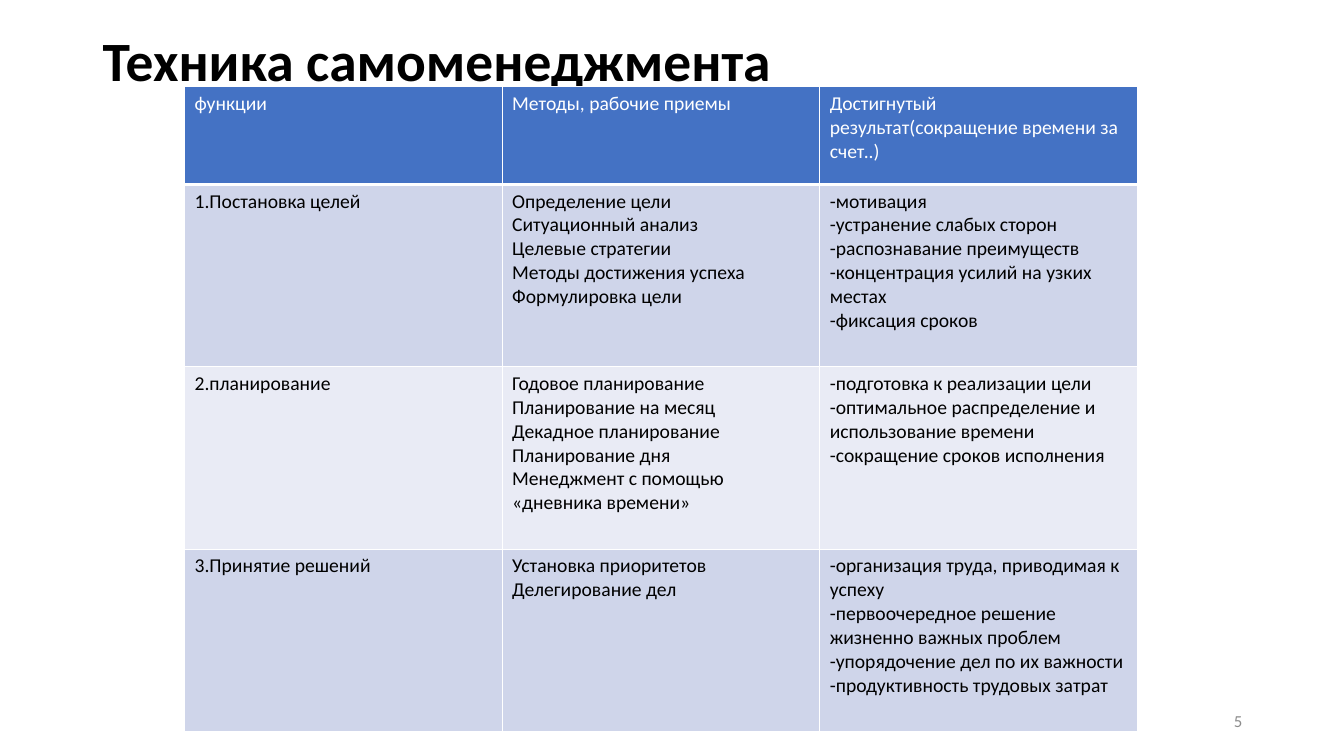
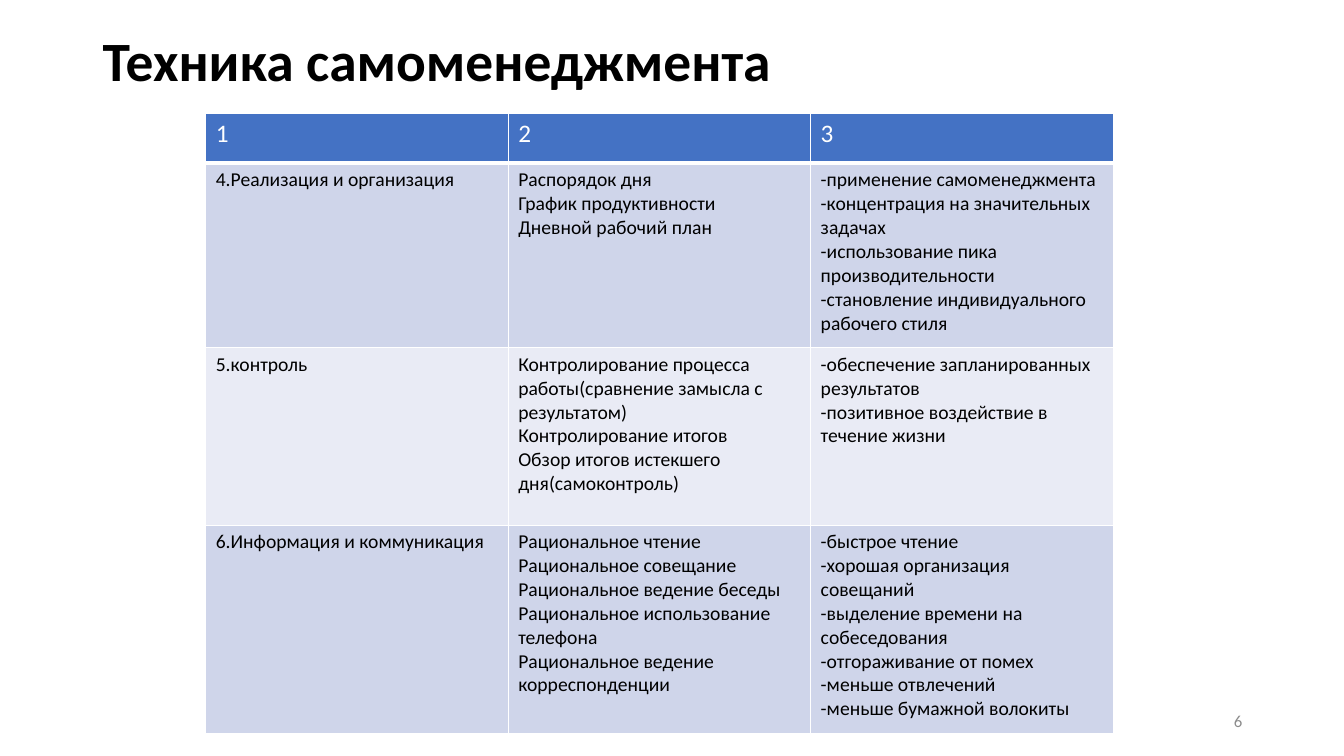
from lxml.etree import SubElement
from pptx import Presentation
from pptx.dml.color import RGBColor
from pptx.enum.text import MSO_ANCHOR, PP_ALIGN
from pptx.oxml.ns import qn
from pptx.util import Inches, Pt

# Shared style
FONT = "Calibri"
BLACK, WHITE, GREY = "000000", "FFFFFF", "8C8C8C"
HEADER_FILL = "4472C4"
BAND_FILLS = ("CFD5EA", "E9EBF5")
TITLE = "Техника самоменеджмента"
TITLE_BOX = (0.92, 0.4, 11.5, 0.46)
NUMBER_BOX = (9.42, 6.95, 3, 0.4)
BODY_SIZE = 14

# Each page: number, table corner, column width, row heights, header size, rows of cells
PAGES = [
    {
        "number": 5,
        "corner": (1.83, 0.86),
        "column_width": 3.15,
        "row_heights": (0.97, 1.81, 1.81, 1.81),
        "header_size": 14,
        "rows": [
            (["функции"],
             ["Методы, рабочие приемы"],
             ["Достигнутый результат(сокращение времени за счет..)"]),
            (["1.Постановка целей"],
             ["Определение цели", "Ситуационный анализ", "Целевые стратегии",
              "Методы достижения успеха", "Формулировка цели"],
             ["-мотивация", "-устранение слабых сторон", "-распознавание преимуществ",
              "-концентрация усилий на узких местах", "-фиксация сроков"]),
            (["2.планирование"],
             ["Годовое планирование", "Планирование на месяц", "Декадное планирование",
              "Планирование дня", "Менеджмент с помощью «дневника времени»"],
             ["-подготовка к реализации цели",
              "-оптимальное распределение и использование времени",
              "-сокращение сроков исполнения"]),
            (["3.Принятие решений"],
             ["Установка приоритетов", "Делегирование дел"],
             ["-организация труда, приводимая к успеху",
              "-первоочередное решение жизненно важных проблем",
              "-упорядочение дел по их важности",
              "-продуктивность трудовых затрат"]),
        ],
    },
    {
        "number": 6,
        "corner": (2.04, 1.13),
        "column_width": 3,
        "row_heights": (0.49, 1.83, 1.76, 2.07),
        "header_size": 18,
        "rows": [
            (["1"], ["2"], ["3"]),
            (["4.Реализация и организация"],
             ["Распорядок дня", "График продуктивности", "Дневной рабочий план"],
             ["-применение самоменеджмента", "-концентрация на значительных задачах",
              "-использование пика производительности",
              "-становление индивидуального рабочего стиля"]),
            (["5.контроль"],
             ["Контролирование процесса работы(сравнение замысла с результатом)",
              "Контролирование итогов", "Обзор итогов истекшего дня(самоконтроль)"],
             ["-обеспечение запланированных результатов",
              "-позитивное воздействие в течение жизни"]),
            (["6.Информация и коммуникация"],
             ["Рациональное чтение", "Рациональное совещание",
              "Рациональное ведение беседы", "Рациональное использование телефона",
              "Рациональное ведение корреспонденции"],
             ["-быстрое чтение", "-хорошая организация совещаний",
              "-выделение времени на собеседования", "-отгораживание от помех",
              "-меньше отвлечений", "-меньше бумажной волокиты"]),
        ],
    },
]


def color(hex_value):
    return RGBColor.from_string(hex_value)


def style_paragraph(para, size, hex_value, bold=False):
    font = para.font
    font.name, font.size, font.bold = FONT, Pt(size), bold
    font.color.rgb = color(hex_value)


def add_text(page, box, text, size, hex_value, bold=False, align=PP_ALIGN.LEFT, spacing=1.0):
    frame = page.shapes.add_textbox(*map(Inches, box)).text_frame
    frame.word_wrap = True
    frame.vertical_anchor = MSO_ANCHOR.MIDDLE
    para = frame.paragraphs[0]
    para.text, para.alignment, para.line_spacing = text, align, spacing
    style_paragraph(para, size, hex_value, bold)


def add_borders(cell, top, bottom):
    """White cell borders; they must precede the fill in the cell properties."""
    properties = cell._tc.get_or_add_tcPr()
    for side, width in (("L", 1), ("R", 1), ("T", top), ("B", bottom)):
        line = SubElement(properties, qn(f"a:ln{side}"), w=str(Pt(width)))
        fill = SubElement(line, qn("a:solidFill"))
        SubElement(fill, qn("a:srgbClr"), val=WHITE)


def fill_cell(cell, lines, row_index, header_size):
    is_header = row_index == 0
    add_borders(cell, top=3 if row_index == 1 else 1, bottom=3 if is_header else 1)
    cell.fill.solid()
    cell.fill.fore_color.rgb = color(HEADER_FILL if is_header else BAND_FILLS[(row_index - 1) % 2])
    cell.text_frame.text = "\n".join(lines)
    for para in cell.text_frame.paragraphs:
        style_paragraph(para, header_size if is_header else BODY_SIZE,
                        WHITE if is_header else BLACK)


def add_methods_table(page, corner, column_width, row_heights, header_size, rows):
    columns = len(rows[0])
    size = (column_width * columns, sum(row_heights))
    table = page.shapes.add_table(len(rows), columns, *map(Inches, corner + size)).table
    for column in table.columns:
        column.width = Inches(column_width)
    for row_index, (height, row) in enumerate(zip(row_heights, rows)):
        table.rows[row_index].height = Inches(height)
        for column_index, lines in enumerate(row):
            fill_cell(table.cell(row_index, column_index), lines, row_index, header_size)


def add_page(deck, number, **table_content):
    page = deck.slides.add_slide(deck.slide_layouts[6])
    add_text(page, TITLE_BOX, TITLE, 39.6, BLACK, bold=True, spacing=0.9)
    add_text(page, NUMBER_BOX, str(number), 12, GREY, align=PP_ALIGN.RIGHT)
    add_methods_table(page, **table_content)


def main():
    deck = Presentation()
    deck.slide_width, deck.slide_height = Inches(13.33), Inches(7.5)
    for content in PAGES:
        add_page(deck, **content)
    deck.save("out.pptx")


if __name__ == "__main__":
    main()
